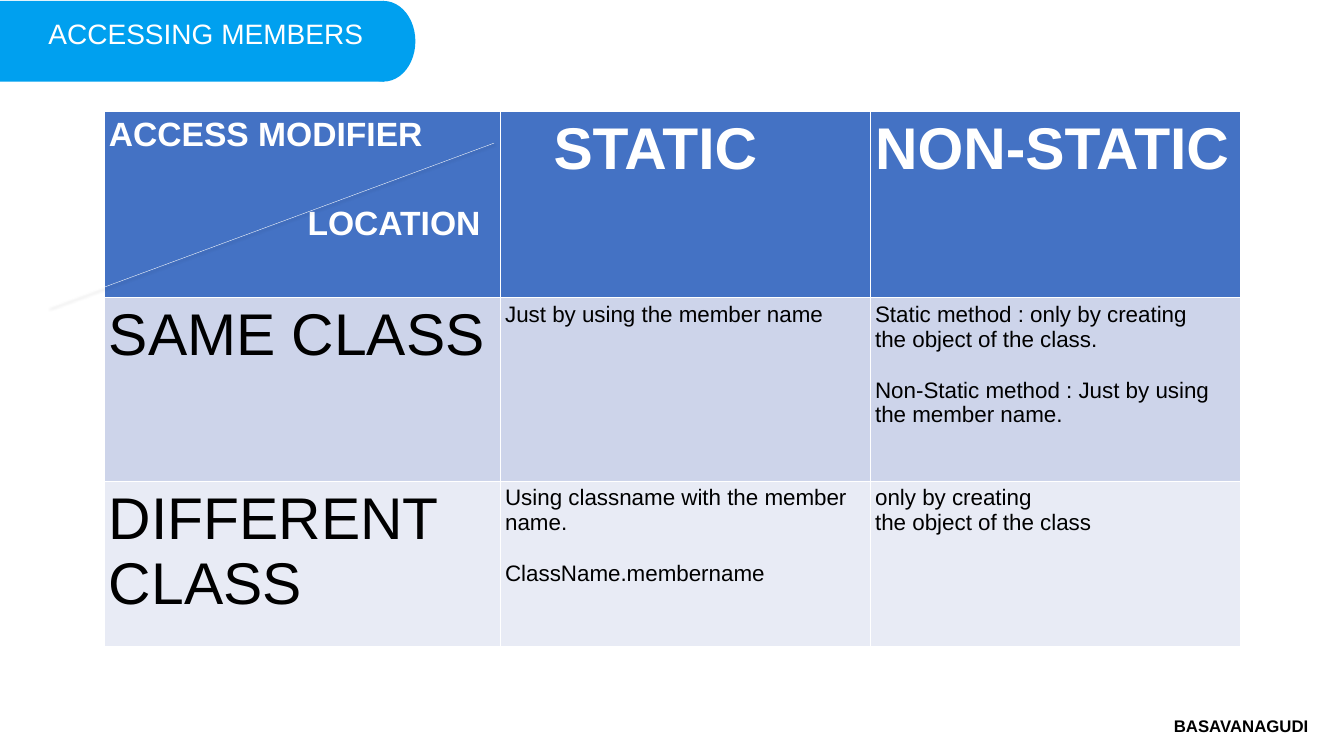
"""Build the slide on accessing static and non-static class members."""
from dataclasses import dataclass

from lxml.etree import SubElement
from pptx import Presentation
from pptx.dml.color import RGBColor
from pptx.enum.shapes import MSO_CONNECTOR as Connector, MSO_SHAPE as Preset
from pptx.enum.text import PP_ALIGN as Align
from pptx.oxml.ns import qn
from pptx.util import Inches, Pt

WHITE = RGBColor(0xFF, 0xFF, 0xFF)
BLACK = RGBColor(0x00, 0x00, 0x00)
SKY = RGBColor(0x00, 0xA0, 0xEF)
HEADER_BLUE = RGBColor(0x44, 0x72, 0xC4)
BAND_DARK = RGBColor(0xCD, 0xD4, 0xEA)
BAND_LIGHT = RGBColor(0xE8, 0xEB, 0xF5)

FONT = "Arial"
LINE_HEIGHT = 1.15
HEADING, LABEL, BODY = 42, 24, 16
CELL_INSET = 0.05
THIN, THICK = 0.25, 1
COLUMN_WIDTHS = (3.93, 3.67, 3.67)


@dataclass(frozen=True)
class Line:
    """One paragraph, with its indent in inches and the blank body lines above it."""
    text: str
    size: float = BODY
    indent: float = 0
    gap: int = 0


@dataclass(frozen=True)
class Row:
    """One table row with its look, border widths and cells."""
    height: float
    fill: RGBColor
    color: RGBColor
    bold: bool
    top: float
    bottom: float
    cells: tuple[tuple[Line, ...], ...]


ROWS = (
    Row(1.85, HEADER_BLUE, WHITE, True, THIN, THICK, (
        (Line("ACCESS MODIFIER", LABEL), Line("LOCATION", LABEL, indent=1.97, gap=2)),
        (Line("STATIC", HEADING, indent=0.48),),
        (Line("NON-STATIC", HEADING),),
    )),
    Row(1.82, BAND_DARK, BLACK, False, THICK, THIN, (
        (Line("SAME CLASS", HEADING),),
        (Line("Just by using the member name"),),
        (Line("Static method : only by creating"),
         Line("the object of the class."),
         Line("Non-Static method : Just by using the member name.", gap=1)),
    )),
    Row(1.64, BAND_LIGHT, BLACK, False, THIN, THIN, (
        (Line("DIFFERENT CLASS", HEADING),),
        (Line("Using classname with the member name."),
         Line("ClassName.membername", gap=1)),
        (Line("only by creating\vthe object of the class"),),
    )),
)


def write(frame, lines: tuple[Line, ...], *, color: RGBColor, bold: bool = False,
          align: Align = Align.LEFT) -> None:
    """Fill a text frame with formatted paragraphs."""
    for index, line in enumerate(lines):
        para = frame.add_paragraph() if index else frame.paragraphs[0]
        para.text = line.text
        para.alignment = align
        if line.gap:
            para.space_before = Pt(line.gap * BODY * LINE_HEIGHT)
        if line.indent:
            para._p.get_or_add_pPr().set("marL", str(Inches(line.indent)))
        for font in (para.font, *(span.font for span in para.runs)):
            font.name, font.size, font.bold = FONT, Pt(line.size), bold
            font.color.rgb = color


def add_text(page, left: float, top: float, width: float, height: float, line: Line, *,
             color: RGBColor, bold: bool = False, align: Align = Align.LEFT) -> None:
    """Add a text box without insets."""
    box = page.shapes.add_textbox(Inches(left), Inches(top), Inches(width), Inches(height))
    frame = box.text_frame
    frame.word_wrap = True
    frame.margin_left = frame.margin_right = frame.margin_top = frame.margin_bottom = 0
    write(frame, (line,), color=color, bold=bold, align=align)


def add_tab_part(page, preset: Preset, left: float, width: float) -> None:
    """Add one piece of the rounded title tab."""
    part = page.shapes.add_shape(preset, Inches(left), Inches(0.01), Inches(width), Inches(0.8))
    part.shadow.inherit = False
    part.fill.solid()
    part.fill.fore_color.rgb = SKY
    part.line.fill.background()


def set_borders(cell, *, top: float, bottom: float) -> None:
    """Give a cell white borders, thin at both sides."""
    properties = cell._tc.get_or_add_tcPr()
    for side, width in (("L", THIN), ("R", THIN), ("T", top), ("B", bottom)):
        border = SubElement(properties, qn(f"a:ln{side}"), w=str(Pt(width)))
        fill = SubElement(border, qn("a:solidFill"))
        SubElement(fill, qn("a:srgbClr"), val=str(WHITE))


def add_access_table(page) -> None:
    """Add the table of access rules."""
    table = page.shapes.add_table(
        len(ROWS), len(COLUMN_WIDTHS), Inches(1.03), Inches(1.1),
        Inches(sum(COLUMN_WIDTHS)), Inches(sum(row.height for row in ROWS))).table
    table.horz_banding = False
    for column, width in zip(table.columns, COLUMN_WIDTHS):
        column.width = Inches(width)
    for row_index, row in enumerate(ROWS):
        table.rows[row_index].height = Inches(row.height)
        for column_index, lines in enumerate(row.cells):
            cell = table.cell(row_index, column_index)
            cell.margin_left = cell.margin_right = Inches(CELL_INSET)
            cell.margin_top = cell.margin_bottom = Inches(CELL_INSET)
            set_borders(cell, top=row.top, bottom=row.bottom)
            cell.fill.solid()
            cell.fill.fore_color.rgb = row.fill
            write(cell.text_frame, lines, color=row.color, bold=row.bold)


def add_diagonal(page) -> None:
    """Add the shadowed line that divides the corner cell."""
    diagonal = page.shapes.add_connector(
        Connector.STRAIGHT, Inches(4.9), Inches(1.42), Inches(0.49), Inches(3.05))
    diagonal.line.color.rgb = WHITE
    diagonal.line.width = Pt(THIN)
    effects = SubElement(diagonal._element.spPr, qn("a:effectLst"))
    shadow = SubElement(effects, qn("a:outerShdw"), blurRad=str(Pt(2)), dist=str(Pt(1)),
                        dir="5400000", rotWithShape="0")
    tint = SubElement(shadow, qn("a:srgbClr"), val=str(BLACK))
    SubElement(tint, qn("a:alpha"), val="40000")


def main() -> None:
    """Build and save the deck."""
    deck = Presentation()
    deck.slide_width, deck.slide_height = Inches(13.33), Inches(7.5)
    page = deck.slides.add_slide(deck.slide_layouts[6])
    add_tab_part(page, Preset.RECTANGLE, 0, 3.81)
    add_tab_part(page, Preset.OVAL, 3.49, 0.63)
    add_text(page, 0.48, 0.16, 3.54, 0.31, Line("ACCESSING MEMBERS", 20), color=WHITE)
    add_text(page, 11.32, 7.1, 1.98, 0.2, Line("BASAVANAGUDI", 12),
             color=BLACK, bold=True, align=Align.CENTER)
    add_access_table(page)
    add_diagonal(page)
    deck.save("out.pptx")


if __name__ == "__main__":
    main()
